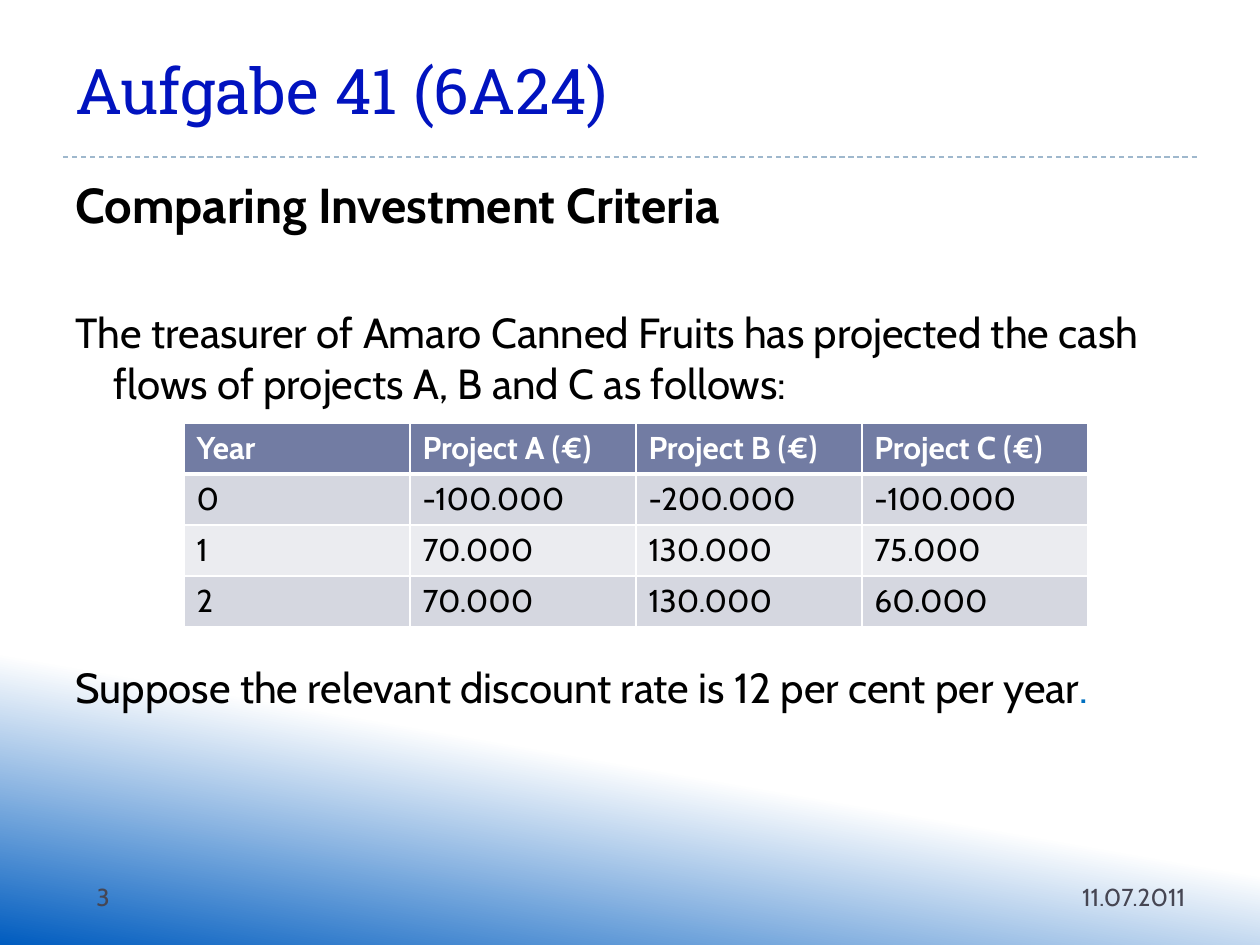
from lxml import etree
from pptx import Presentation
from pptx import util as u
from pptx.dml.color import RGBColor
from pptx.enum import dml, shapes, text
from pptx.oxml.ns import qn

PX = u.Inches(1) / 126
BLACK, WHITE, GREY = "000000", "FFFFFF", "464653"
HEADER_FILL, ROW_FILLS = "727CA3", ("D5D7E0", "EBECF0")

TITLE = "Aufgabe 41 (6A24)"
BODY = [
    (6, [("Comparing Investment Criteria", dict(size=28, bold=True))]),
    (42, [("The treasurer of Amaro Canned Fruits has projected the cash "
           "flows of projects A, B and C as follows:", dict(size=24))]),
    (145, [("Suppose the relevant discount rate is 12 per cent per year", dict(size=24)),
           (".", dict(size=24, color="0070C0"))]),
]
CASH_FLOWS = [
    ("Year", "Project A (€)", "Project B (€)", "Project C (€)"),
    ("0", "-100.000", "-200.000", "-100.000"),
    ("1", "70.000", "130.000", "75.000"),
    ("2", "70.000", "130.000", "60.000"),
]
FOOTERS = [
    ("11.07.2011", (1047, 876, 151, 50), text.PP_ALIGN.RIGHT),
    ("3", (84, 876, 100, 50), text.PP_ALIGN.LEFT),
]


def px(value):
    return u.Emu(round(value * PX))


def rgb(value):
    return RGBColor.from_string(value)


def write(paragraph, words, size=18, font="Cabin", color=BLACK, bold=False,
          align=text.PP_ALIGN.LEFT):
    paragraph.alignment = align
    run = paragraph.add_run()
    run.text = words
    run.font.size = u.Pt(size)
    run.font.name = font
    run.font.bold = bold
    run.font.color.rgb = rgb(color)


def place(shape, left, top, width, height):
    shape.left, shape.top = px(left), px(top)
    shape.width, shape.height = px(width), px(height)


def hang(paragraph, indent):
    properties = paragraph._p.get_or_add_pPr()
    properties.set("marL", str(px(indent)))
    properties.set("indent", str(px(-indent)))
    etree.SubElement(properties, qn("a:buNone"))


def add_borders(cell, **widths):
    properties = cell._tc.get_or_add_tcPr()
    for side in "LRTB":
        line = etree.SubElement(properties, qn("a:ln" + side),
                                w=str(u.Pt(widths.get(side, 1))))
        fill = etree.SubElement(line, qn("a:solidFill"))
        etree.SubElement(fill, qn("a:srgbClr"), val=WHITE)


def paint_background(slide):
    fill = slide.background.fill
    fill.gradient()
    fill.gradient_angle = 260
    for stop, position, color in zip(fill.gradient_stops, (0.75, 1), (WHITE, "005CBF")):
        stop.position = position
        stop.color.rgb = rgb(color)


def add_rule(slide):
    rule = slide.shapes.add_connector(shapes.MSO_CONNECTOR.STRAIGHT,
                                      px(63), px(157), px(1197), px(157))
    rule.line.color.rgb = rgb("9FB8CD")
    rule.line.width = u.Pt(0.75)
    rule.line.dash_style = dml.MSO_LINE.DASH
    etree.SubElement(rule._element.spPr, qn("a:effectLst"))


def fill_placeholders(slide):
    title, body = slide.placeholders
    place(title, 63, 21, 924, 136)
    title.text_frame.vertical_anchor = text.MSO_ANCHOR.MIDDLE
    title.text_frame.auto_size = text.MSO_AUTO_SIZE.NONE
    write(title.text_frame.paragraphs[0], TITLE, size=36, font="Roboto Slab", color="0113BF")

    place(body, 63, 168, 1134, 680)
    frame = body.text_frame
    frame.auto_size = text.MSO_AUTO_SIZE.NONE
    for index, (gap, runs) in enumerate(BODY):
        paragraph = frame.add_paragraph() if index else frame.paragraphs[0]
        paragraph.space_before = u.Pt(gap)
        hang(paragraph, 38)
        for words, style in runs:
            write(paragraph, words, **style)


def add_cash_flows(slide):
    rows, columns = len(CASH_FLOWS), len(CASH_FLOWS[0])
    table = slide.shapes.add_table(rows, columns, px(184), px(423),
                                   px(226 * columns), px(51 * rows)).table
    for r, values in enumerate(CASH_FLOWS):
        header = r == 0
        for c, value in enumerate(values):
            cell = table.cell(r, c)
            add_borders(cell, B=3 if header else 1, T=3 if r == 1 else 1)
            cell.fill.solid()
            cell.fill.fore_color.rgb = rgb(HEADER_FILL if header else ROW_FILLS[(r - 1) % 2])
            write(cell.text_frame.paragraphs[0], value, bold=header,
                  color=WHITE if header else BLACK)


def add_footers(slide):
    for words, box, align in FOOTERS:
        frame = slide.shapes.add_textbox(*map(px, box)).text_frame
        frame.word_wrap = True
        write(frame.paragraphs[0], words, size=14, color=GREY, align=align)


def main():
    presentation = Presentation()
    presentation.slide_width, presentation.slide_height = px(1260), px(945)
    slide = presentation.slides.add_slide(presentation.slide_layouts[1])
    paint_background(slide)
    add_rule(slide)
    fill_placeholders(slide)
    add_footers(slide)
    add_cash_flows(slide)
    presentation.save("out.pptx")


if __name__ == "__main__":
    main()
